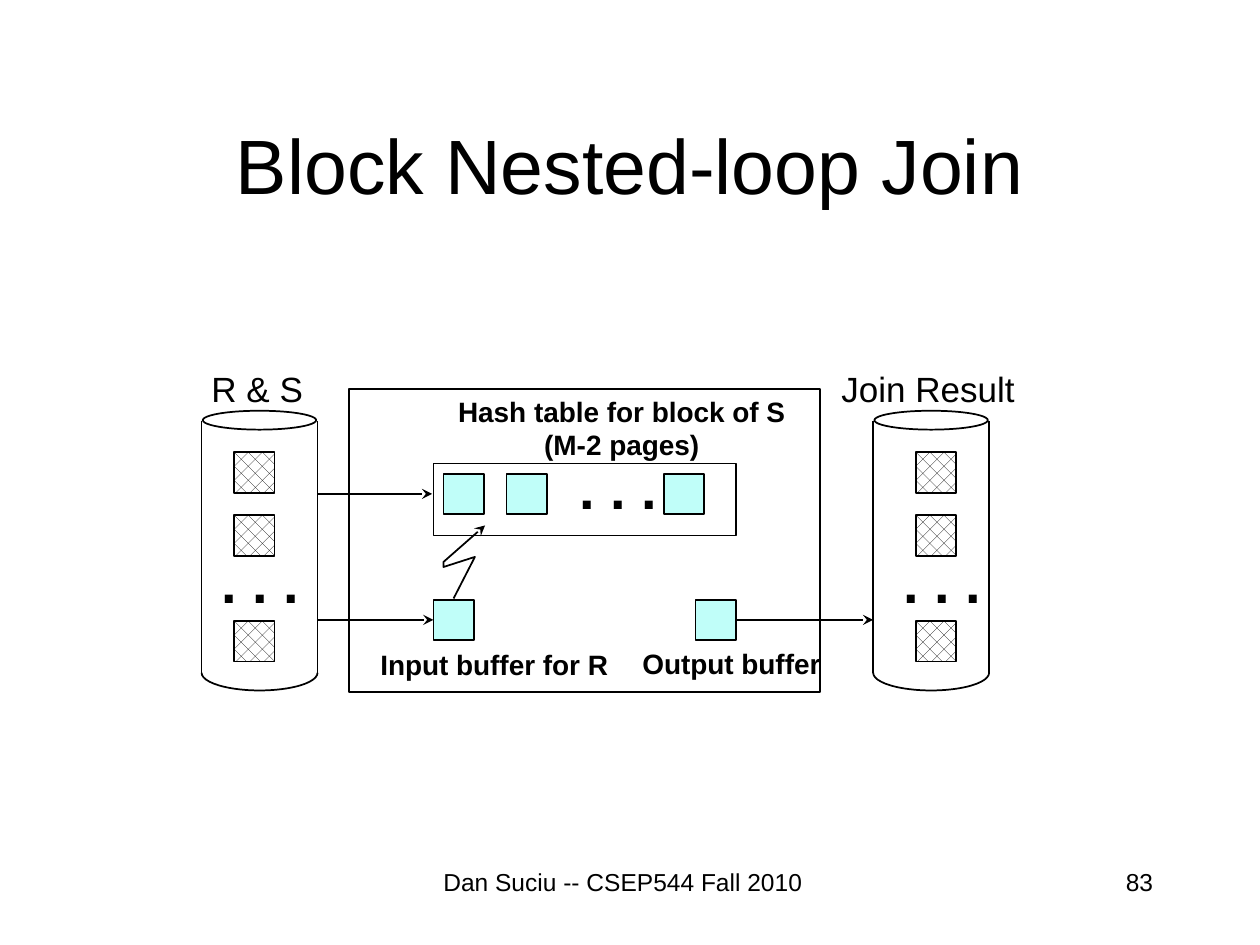
from dataclasses import dataclass

from pptx import Presentation
from pptx.dml.color import RGBColor
from pptx.enum.dml import MSO_PATTERN
from pptx.enum.shapes import MSO_CONNECTOR, MSO_SHAPE
from pptx.enum.text import MSO_ANCHOR, MSO_AUTO_SIZE, PP_ALIGN
from pptx.oxml.ns import qn
from pptx.util import Inches, Pt
from lxml import etree

BLACK = RGBColor(0x00, 0x00, 0x00)
WHITE = RGBColor(0xFF, 0xFF, 0xFF)
BUFFER_BLUE = RGBColor(0xC0, 0xFE, 0xF9)
RECTANGLE, ELLIPSE, ARC = MSO_SHAPE.RECTANGLE, MSO_SHAPE.OVAL, MSO_SHAPE.ARC
STRAIGHT = MSO_CONNECTOR.STRAIGHT
DOTTED = MSO_PATTERN.PERCENT_25
LEFT, CENTER, RIGHT = PP_ALIGN.LEFT, PP_ALIGN.CENTER, PP_ALIGN.RIGHT
TOP, MIDDLE = MSO_ANCHOR.TOP, MSO_ANCHOR.MIDDLE
GROW, FIXED = MSO_AUTO_SIZE.SHAPE_TO_FIT_TEXT, MSO_AUTO_SIZE.NONE
LEFT_SIDE, RIGHT_SIDE = 1, 3
PAGE_SIZE = 0.32


@dataclass
class Label:
    lines: tuple[str, ...]
    left: float
    top: float
    width: float
    height: float
    size: int
    bold: bool = False
    align: PP_ALIGN = LEFT
    anchor: MSO_ANCHOR = TOP
    wrap: bool = False
    right_inset: float = 0.1


@dataclass
class Disk:
    left: float
    page_left: float


DISKS = (Disk(1.6, 1.86), Disk(6.93, 7.27))
DISK_WIDTH = 0.92
DISK_TOP, DISK_BOTTOM = 3.34, 5.34
DISK_PAGE_TOPS = (3.59, 4.09, 4.93)

LABELS = (
    Label(("Block Nested-loop Join",), 0.75, 0.67, 8.5, 1.25, 44,
          align=CENTER, anchor=MIDDLE, wrap=True),
    Label(("R & S",), 1.58, 2.87, 0.94, 0.44, 20),
    Label(("Join Result",), 6.58, 2.87, 1.59, 0.44, 20),
    Label(("Hash table for block of S", "(M-2 pages)"), 3.52, 3.08, 2.83, 0.64, 16,
          bold=True, align=CENTER),
    Label(("Input buffer for R",), 2.92, 5.09, 2.04, 0.37, 16, bold=True),
    Label(("Output buffer",), 5, 5.08, 1.64, 0.37, 16, bold=True),
    Label(("Dan Suciu -- CSEP544 Fall 2010",), 3.42, 6.83, 3.17, 0.5, 14,
          align=CENTER, wrap=True, right_inset=0.22),
    Label(("83",), 7.17, 6.83, 2.08, 0.5, 14, align=RIGHT, wrap=True),
)


def add_label(shapes, label: Label):
    box = shapes.add_textbox(Inches(label.left), Inches(label.top),
                             Inches(label.width), Inches(label.height))
    frame = box.text_frame
    frame.word_wrap = label.wrap
    frame.auto_size = FIXED if label.wrap else GROW
    frame.vertical_anchor = label.anchor
    frame.margin_right = Inches(label.right_inset)
    frame.text = "\n".join(label.lines)
    for paragraph in frame.paragraphs:
        paragraph.alignment = label.align
        font = paragraph.font
        font.name, font.size, font.bold = "Arial", Pt(label.size), label.bold
        font.color.rgb = BLACK


def add_dots(shapes, left: float, top: float):
    add_label(shapes, Label((". . .",), left, top, 0.83, 0.64, 32, bold=True))


def outline(shape):
    shape.shadow.inherit = False
    shape.fill.background()
    shape.line.color.rgb = BLACK
    shape.line.width = Pt(1)


def add_outlined(shapes, kind: MSO_SHAPE, left: float, top: float, width: float, height: float):
    shape = shapes.add_shape(kind, Inches(left), Inches(top), Inches(width), Inches(height))
    outline(shape)
    return shape


def add_buffer_page(shapes, left: float, top: float):
    page = add_outlined(shapes, RECTANGLE, left, top, PAGE_SIZE, PAGE_SIZE)
    page.fill.solid()
    page.fill.fore_color.rgb = BUFFER_BLUE
    return page


def add_disk_page(shapes, left: float, top: float):
    page = add_outlined(shapes, RECTANGLE, left, top, PAGE_SIZE, PAGE_SIZE)
    page.fill.patterned()
    page.fill.pattern = DOTTED
    page.fill.fore_color.rgb = BLACK
    page.fill.back_color.rgb = WHITE


def add_arrowhead(shape):
    line = shape.element.spPr.find(qn("a:ln"))
    etree.SubElement(line, qn("a:tailEnd"), type="stealth")


def add_line(shapes, x1: float, y1: float, x2: float, y2: float):
    connector = shapes.add_connector(STRAIGHT, Inches(x1), Inches(y1), Inches(x2), Inches(y2))
    connector.line.color.rgb = BLACK
    connector.line.width = Pt(1)
    etree.SubElement(connector.element.spPr, qn("a:effectLst"))
    return connector


def add_arrow(shapes, x1: float, x2: float, y: float):
    connector = add_line(shapes, x1, y, x2, y)
    add_arrowhead(connector)
    return connector


def add_disk(slide, disk: Disk):
    shapes = slide.shapes.add_group_shape().shapes
    add_outlined(shapes, ELLIPSE, disk.left + 0.01, DISK_TOP - 0.08, 0.9, 0.15)
    for x in (disk.left, disk.left + DISK_WIDTH):
        add_line(shapes, x, DISK_TOP, x, DISK_BOTTOM)
    base = add_outlined(shapes, ARC, disk.left, DISK_BOTTOM - 0.14, DISK_WIDTH, 0.28)
    base.adjustments[0] = 0
    base.adjustments[1] = 108
    for top in DISK_PAGE_TOPS:
        add_disk_page(shapes, disk.page_left, top)
    add_dots(shapes, disk.page_left - 0.2, 4.3)


def add_probe_arrow(shapes):
    points = [(Inches(x), Inches(y)) for x, y in
              ((3.6, 4.75), (3.77, 4.42), (3.52, 4.5), (3.52, 4.46), (3.85, 4.17))]
    builder = shapes.build_freeform(*points[0])
    builder.add_line_segments(points[1:], close=False)
    probe = builder.convert_to_shape()
    outline(probe)
    add_arrowhead(probe)


def main():
    presentation = Presentation()
    presentation.slide_width, presentation.slide_height = Inches(10), Inches(7.5)
    slide = presentation.slides.add_slide(presentation.slide_layouts[6])
    shapes = slide.shapes

    for disk in DISKS:
        add_disk(slide, disk)

    add_outlined(shapes, RECTANGLE, 2.77, 3.09, 3.74, 2.4)
    add_outlined(shapes, RECTANGLE, 3.44, 3.68, 2.4, 0.57)
    for left in (3.52, 4.02, 5.27):
        add_buffer_page(shapes, left, 3.76)
    add_dots(shapes, 4.5, 3.55)
    input_page = add_buffer_page(shapes, 3.44, 4.76)
    output_page = add_buffer_page(shapes, 5.52, 4.76)

    source_edge = DISKS[0].left + DISK_WIDTH
    add_arrow(shapes, source_edge, 3.43, 3.92)
    add_arrow(shapes, source_edge, 3.44, 4.92).end_connect(input_page, LEFT_SIDE)
    add_arrow(shapes, 5.84, DISKS[1].left, 4.92).begin_connect(output_page, RIGHT_SIDE)
    add_probe_arrow(shapes)

    for label in LABELS:
        add_label(shapes, label)

    presentation.save("out.pptx")


if __name__ == "__main__":
    main()
